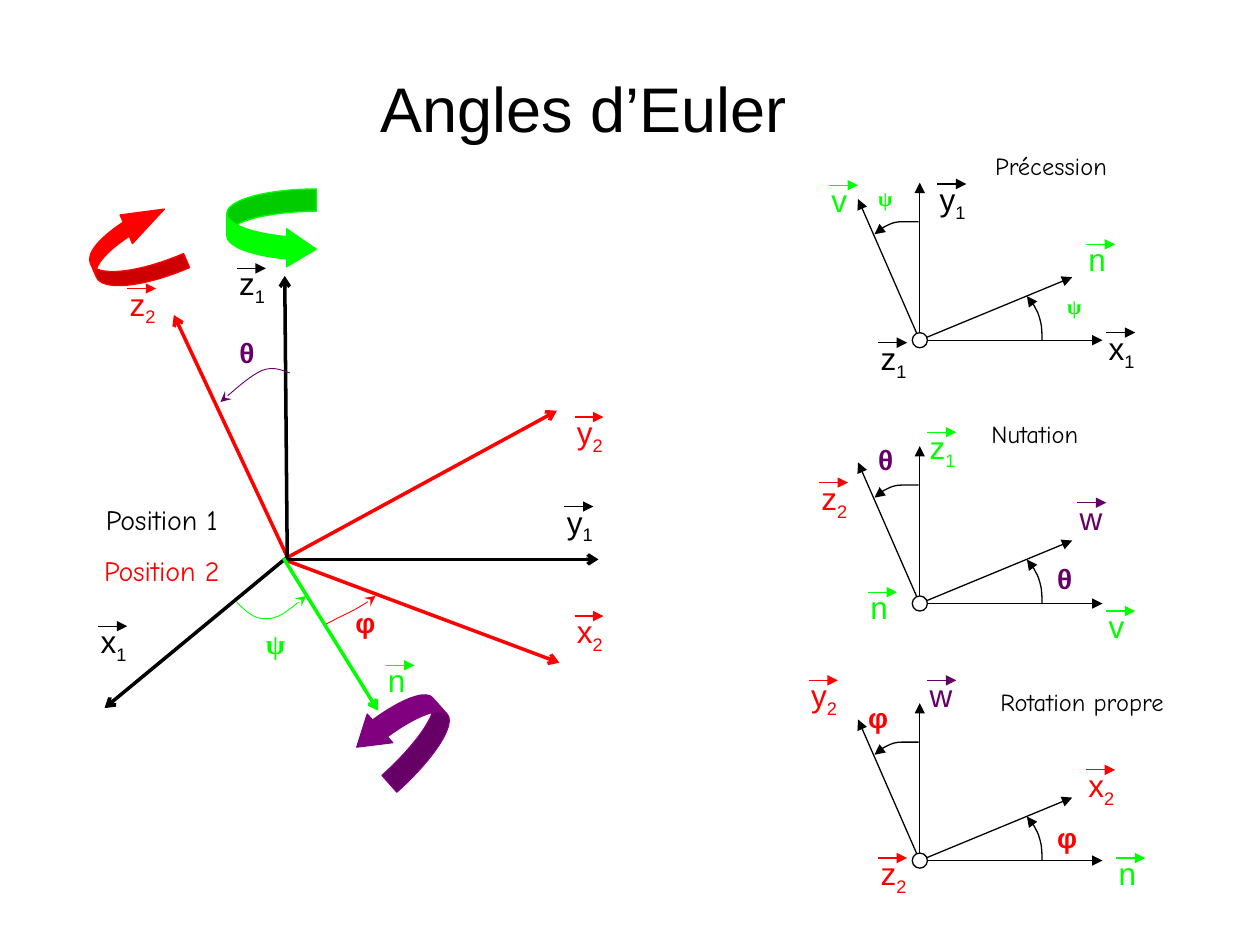
from dataclasses import dataclass

from lxml.etree import SubElement
from pptx import Presentation
from pptx.dml.color import RGBColor as Rgb
from pptx.enum.shapes import MSO_CONNECTOR as Link, MSO_SHAPE as Preset
from pptx.enum.text import MSO_AUTO_SIZE as Fit, PP_ALIGN as Align
from pptx.oxml.ns import qn
from pptx.util import Cm, Pt

BLACK = Rgb(0, 0, 0)
WHITE = Rgb(0xFF, 0xFF, 0xFF)
RED = Rgb(0xFF, 0, 0)
GREEN = Rgb(0, 0xFF, 0)
PLUM = Rgb(0x66, 0, 0x66)
PURPLE = Rgb(0x80, 0, 0x80)
SANS, HAND, SERIF = "Arial", "Comic Neue", "Times New Roman"

Point = tuple[float, float]


@dataclass
class Vector:
    """A letter with a small arrow above it."""
    name: str
    sub: str
    x: float
    y: float
    color: Rgb


@dataclass
class Angle:
    sign: str
    x: float
    y: float
    color: Rgb
    font: str = SANS
    size: int = 16


@dataclass
class Caption:
    text: str
    x: float
    y: float
    width: float
    height: float
    size: int
    color: Rgb = BLACK
    font: str = HAND
    align: Align = Align.LEFT


@dataclass
class Axis:
    start: Point
    end: Point
    color: Rgb


@dataclass
class Arc:
    points: list[Point]
    color: Rgb


@dataclass
class Spin:
    x: float
    y: float
    turn: float
    color: Rgb
    adjust: tuple[float, float, float] = (0.282, 0.482, 0.375)
    flip: bool = False


@dataclass
class Figure:
    """A plane view: two axes and the same two turned by one angle."""
    y: float
    caption: Caption
    vectors: list[Vector]
    angles: list[Angle]


def inch(value: float) -> Cm:
    return Cm(value * 2.54)


def style(line, color: Rgb, width: float, head: str = "") -> None:
    line.color.rgb = color
    line.width = Pt(width)
    if head:
        SubElement(line._get_or_add_ln(), qn("a:tailEnd"), type=head)


def arrow(start: Point, end: Point, color: Rgb, width: float = 0.75, head: str = "triangle") -> None:
    link = shapes.add_connector(Link.STRAIGHT, *map(inch, start + end))
    style(link.line, color, width, head)
    SubElement(link._element.spPr, qn("a:effectLst"))


def write(item: Caption):
    box = shapes.add_textbox(*map(inch, (item.x, item.y, item.width, item.height)))
    box.text_frame.word_wrap = True
    para = box.text_frame.paragraphs[0]
    para.alignment = item.align
    para.add_run().text = item.text
    para.font.name = item.font
    para.font.size = Pt(item.size)
    para.font.color.rgb = item.color
    return box.text_frame


def label(item: Vector) -> None:
    frame = write(Caption(item.name, item.x, item.y, 0.63, 0.4, 18, item.color, SANS))
    frame.auto_size = Fit.SHAPE_TO_FIT_TEXT
    if item.sub:
        run = frame.paragraphs[0].add_run()
        run.text = item.sub
        run.font._element.set("baseline", "-25000")
    top = item.y + 0.08
    arrow((item.x + 0.08, top), (item.x + 0.31, top), item.color)


def mark(item: Angle) -> None:
    frame = write(Caption(item.sign, item.x, item.y, 0.28, 0.34, item.size, item.color, item.font))
    frame.margin_left = frame.margin_right = frame.margin_top = frame.margin_bottom = 0
    frame.paragraphs[0].font.bold = True


def bend(item: Arc, width: float = 0.5, head: str = "stealth") -> None:
    """Draw a start point and triples of Bezier points as an open curve."""
    first, *rest = [(inch(x), inch(y)) for x, y in item.points]
    maker = shapes.build_freeform(*first)
    maker.add_line_segments(rest, close=False)
    curve = maker.convert_to_shape()
    path = next(curve._element.iter(qn("a:path")))
    parts = path.findall(qn("a:lnTo"))
    for i in range(0, len(parts), 3):
        cubic = SubElement(path, qn("a:cubicBezTo"))
        for part in parts[i:i + 3]:
            cubic.append(part[0])
            path.remove(part)
    curve.fill.background()
    curve.shadow.inherit = False
    style(curve.line, item.color, width, head)


def solid(kind: Preset, x: float, y: float, width: float, height: float, fill: Rgb, edge: Rgb):
    shape = shapes.add_shape(kind, *map(inch, (x, y, width, height)))
    shape.shadow.inherit = False
    shape.fill.solid()
    shape.fill.fore_color.rgb = fill
    style(shape.line, edge, 0.75)
    return shape


def whirl(item: Spin) -> None:
    shape = solid(Preset.CURVED_RIGHT_ARROW, item.x, item.y, 0.71, 0.63, item.color, item.color)
    for i, value in enumerate(item.adjust):
        shape.adjustments[i] = value
    shape.rotation = item.turn
    if item.flip:
        shape._element.spPr.find(qn("a:xfrm")).set("flipH", "1")


def draw(item: Figure) -> None:
    x, y = 7.3, item.y
    for dx, dy in ((1.45, 0), (0, -1.25), (1.21, -0.5), (-0.49, -1.12)):
        arrow((x, y), (x + dx, y + dy), BLACK)
    for arc in ARCS:
        bend(Arc([(x + dx, y + dy) for dx, dy in arc], BLACK), 0.75, "triangle")
    solid(Preset.OVAL, x - 0.06, y - 0.06, 0.12, 0.12, WHITE, BLACK)
    write(item.caption)
    for vector in item.vectors:
        label(vector)
    for angle in item.angles:
        mark(angle)


# Offsets from the centre of a figure
ARCS = [
    [(0.97, 0), (0.97, -0.02), (0.97, -0.1), (0.96, -0.14), (0.95, -0.18),
     (0.94, -0.22), (0.92, -0.25), (0.9, -0.29), (0.86, -0.33), (0.85, -0.35)],
    [(-0.01, -0.94), (-0.03, -0.94), (-0.1, -0.94), (-0.14, -0.94), (-0.19, -0.94),
     (-0.22, -0.93), (-0.26, -0.91), (-0.3, -0.89), (-0.34, -0.86), (-0.36, -0.84)],
]
AXES = [
    Axis((2.29, 4.42), (4.42, 3.26), RED), Axis((2.29, 4.44), (1.38, 2.5), RED),
    Axis((2.25, 4.44), (4.44, 5.26), RED), Axis((2.28, 4.45), (2.26, 2.19), BLACK),
    Axis((2.27, 4.43), (0.83, 5.62), BLACK), Axis((2.27, 4.44), (4.75, 4.44), BLACK),
    Axis((2.25, 4.43), (3, 5.64), GREEN),
]
VECTORS = [
    Vector("x", "2", 4.48, 4.81, RED), Vector("y", "2", 4.48, 3.23, RED),
    Vector("z", "2", 0.93, 2.21, RED), Vector("x", "1", 0.7, 4.89, BLACK),
    Vector("y", "1", 4.4, 3.94, BLACK), Vector("z", "1", 1.8, 2.05, BLACK),
    Vector("n", "", 2.98, 5.2, GREEN),
]
TURNS = [
    Arc([(1.88, 4.78), (1.95, 4.85), (2.02, 4.92), (2.12, 4.91),
         (2.21, 4.91), (2.32, 4.82), (2.43, 4.73)], GREEN),
    Arc([(2.3, 2.96), (2.26, 2.95), (2.18, 2.9), (2.08, 2.94),
         (1.99, 2.98), (1.82, 3.13), (1.75, 3.19)], PLUM),
    Arc([(2.59, 4.95), (2.61, 4.94), (2.6, 4.95), (2.67, 4.91),
         (2.73, 4.88), (2.87, 4.82), (2.98, 4.73)], RED),
]
ANGLES = [Angle("ψ", 2.11, 4.97, GREEN, SERIF), Angle("θ", 1.9, 2.66, PLUM), Angle("φ", 2.82, 4.81, RED)]
SPINS = [
    Spin(1.8, 1.5, 0, GREEN), Spin(2.85, 5.5, 138.3, PURPLE),
    Spin(0.7, 1.66, 156.7, RED, (0.193, 0.393, 0.542), True),
]
NOTES = [
    Caption("Position 2", 0.5, 4.34, 1.57, 0.41, 16, RED, align=Align.CENTER),
    Caption("Position 1", 0.5, 3.94, 1.57, 0.41, 16, align=Align.CENTER),
]
FIGURES = [
    Figure(2.7, Caption("Précession", 7.8, 1.15, 1.45, 0.31, 14),
           [Vector("y", "1", 7.36, 1.38, BLACK), Vector("z", "1", 6.89, 2.64, BLACK),
            Vector("x", "1", 8.7, 2.56, BLACK), Vector("v", "", 6.5, 1.39, GREEN),
            Vector("n", "", 8.54, 1.86, GREEN)],
           [Angle("ψ", 8.47, 2.33, GREEN, SERIF, 12), Angle("ψ", 6.97, 1.47, GREEN, SERIF, 12)]),
    Figure(4.79, Caption("Nutation", 7.77, 3.28, 1.45, 0.31, 14),
           [Vector("n", "", 6.81, 4.62, GREEN), Vector("v", "", 8.7, 4.77, GREEN),
            Vector("z", "1", 7.28, 3.35, GREEN), Vector("z", "2", 6.42, 3.75, RED),
            Vector("w", "", 8.47, 3.91, PLUM)],
           [Angle("θ", 6.97, 3.51, PLUM), Angle("θ", 8.39, 4.46, PLUM)]),
    Figure(6.83, Caption("Rotation propre", 7.84, 5.4, 1.89, 0.31, 14),
           [Vector("w", "", 7.28, 5.32, PLUM), Vector("z", "2", 6.89, 6.73, RED),
            Vector("n", "", 8.78, 6.73, GREEN), Vector("x", "2", 8.54, 6.03, RED),
            Vector("y", "2", 6.34, 5.32, RED)],
           [Angle("φ", 8.39, 6.51, RED), Angle("φ", 6.89, 5.56, RED)]),
]

deck = Presentation()
deck.slide_width, deck.slide_height = Cm(25.4), Cm(19.05)
shapes = deck.slides.add_slide(deck.slide_layouts[6]).shapes

title = write(Caption("Angles d’Euler", 2.92, 0.5, 3.43, 0.7, 36, font=SANS))
title.word_wrap = False
title.auto_size = Fit.SHAPE_TO_FIT_TEXT
for axis in AXES:
    arrow(axis.start, axis.end, axis.color, 2, "arrow")
for task, items in ((label, VECTORS), (write, NOTES), (bend, TURNS),
                    (mark, ANGLES), (whirl, SPINS), (draw, FIGURES)):
    for item in items:
        task(item)
deck.save("out.pptx")
